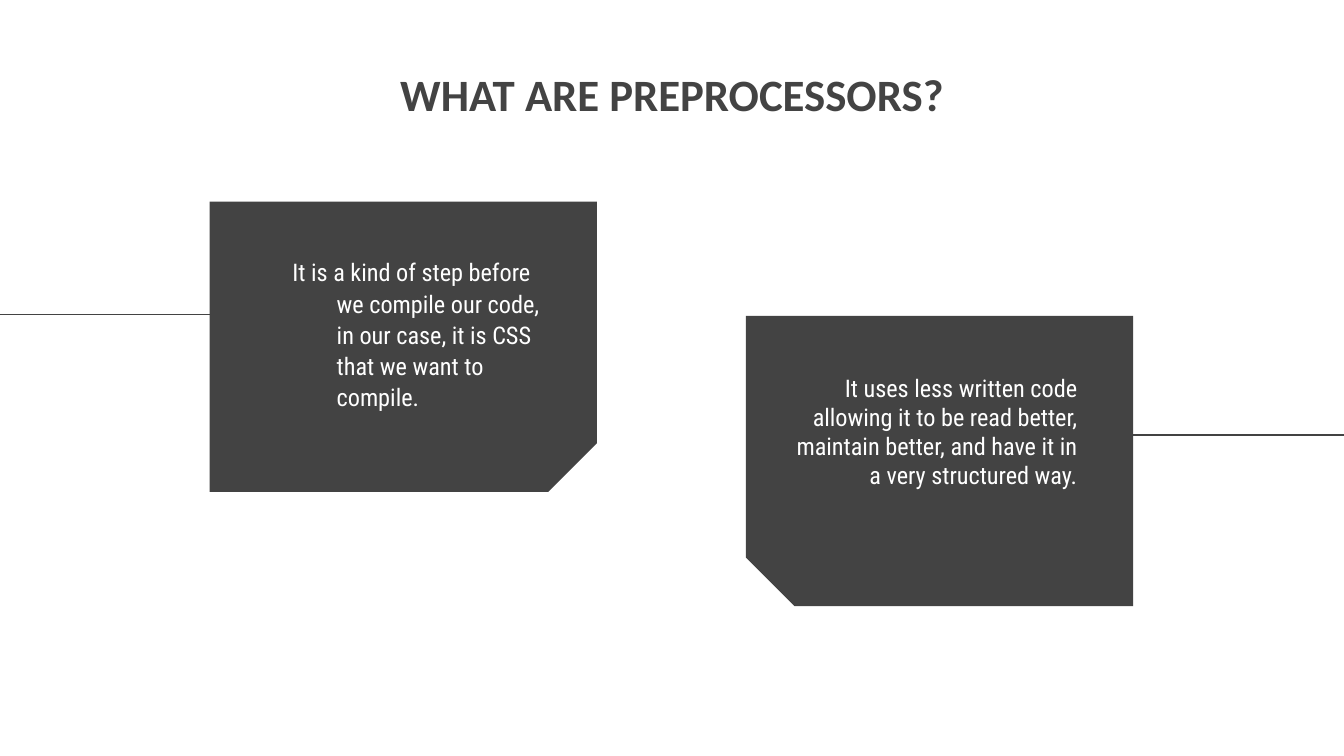
from dataclasses import dataclass

from pptx import Presentation
from pptx import util as u
from pptx.dml.color import RGBColor
from pptx.enum import shapes, text
from pptx.oxml.ns import qn
from lxml import etree


@dataclass(frozen=True)
class Theme:
    """Colours, fonts and type sizes of the deck."""
    dark: RGBColor = RGBColor(0x43, 0x43, 0x43)
    light: RGBColor = RGBColor(0xFF, 0xFF, 0xFF)
    head: str = "Calibri"
    body: str = "Roboto Condensed"
    big: float = 24
    small: float = 13
    rule: float = 0.75
    pad: float = 0.1


T = Theme()
WIDE = 10
HIGH = WIDE * 9 / 16
ALIGN = text.PP_ALIGN


def place(shape, box):
    """Set a shape's left, top, width and height in inches."""
    shape.left, shape.top, shape.width, shape.height = map(u.Inches, box)


def write(holder, words, box, size=T.small, font=T.body, color=T.light,
          bold=False, align=ALIGN.LEFT, left=0, hang=0, lead=1.0, after=0):
    """Fill a placeholder with one formatted paragraph."""
    place(holder, box)
    frame = holder.text_frame
    frame.text = words
    frame.word_wrap = True
    frame.auto_size = text.MSO_AUTO_SIZE.NONE
    frame.vertical_anchor = text.MSO_ANCHOR.TOP
    for side in ("left", "top", "right", "bottom"):
        setattr(frame, f"margin_{side}", u.Inches(T.pad))
    para = frame.paragraphs[0]
    para.alignment, para.line_spacing = align, lead
    para.space_before, para.space_after = u.Pt(0), u.Pt(after)
    props = para._p.get_or_add_pPr()
    props.set("marL", str(u.Inches(left)))
    props.set("indent", str(u.Inches(hang)))
    etree.SubElement(props, qn("a:buNone"))
    run = para.runs[0].font
    run.size, run.name, run.bold = u.Pt(size), font, bold
    run.color.rgb = color


def rule(slide, start, end, y):
    """Draw a thin level line."""
    line = slide.shapes.add_connector(
        shapes.MSO_CONNECTOR.STRAIGHT, *map(u.Inches, (start, y, end, y)))
    line.line.color.rgb, line.line.width = T.dark, u.Pt(T.rule)
    etree.SubElement(line._element.spPr, qn("a:effectLst"))


def panel(slide, box, mirror):
    """Draw a card with one lower inner corner cut off."""
    x, y, w, h = box
    turned = (x + (w - h) / 2, y + (h - w) / 2, h, w)
    card = slide.shapes.add_shape(
        shapes.MSO_SHAPE.SNIP_1_RECTANGLE, *map(u.Inches, turned))
    card.adjustments[0] = 0.167
    card.rotation = 270 if mirror else 90
    if mirror:
        card._element.spPr.xfrm.set("flipH", "1")
    card.shadow.inherit = False
    card.fill.solid()
    card.fill.fore_color.rgb = T.dark
    card.line.fill.background()


def block(slide, holder, words, box, inset, drop, mirror=False, **form):
    """Build a card, its line to the slide edge and its text."""
    x, y, w, h = box
    dx, dy = inset
    ends = (x + 0.61 * w, WIDE) if mirror else (x + 0.38 * w, 0)
    rule(slide, *ends, y + drop * h)
    panel(slide, box, mirror)
    write(holder, words, (x + dx * w, y + dy * h, 0.82 * w, 0.51 * h), **form)
    slide.shapes._spTree.append(holder._element)


def main():
    """Build and save the slide."""
    deck = Presentation()
    deck.slide_width, deck.slide_height = u.Inches(WIDE), u.Inches(HIGH)
    slide = deck.slides.add_slide(deck.slide_layouts[3])
    title, first, second = slide.placeholders
    write(title, "WHAT ARE PREPROCESSORS?",
          (0.215 * WIDE, 0.07 * HIGH, 0.57 * WIDE, 0.18 * HIGH),
          size=T.big, font=T.head, color=T.dark, bold=True,
          align=ALIGN.CENTER)
    size = 2.88, 2.16
    block(slide, first,
          "It is a kind of step before we compile our code, in our case, "
          "it is CSS that we want to compile.",
          (1.56, 1.5, *size), (0.12, 0.14), 0.39,
          left=0.5, hang=-0.33, lead=1.07, after=8)
    block(slide, second,
          "It uses less written code allowing it to be read better, "
          "maintain better, and have it in a very structured way.",
          (5.55, 2.35, *size), (0.07, 0.15), 0.41,
          mirror=True, align=ALIGN.RIGHT)
    deck.save("out.pptx")


if __name__ == "__main__":
    main()
